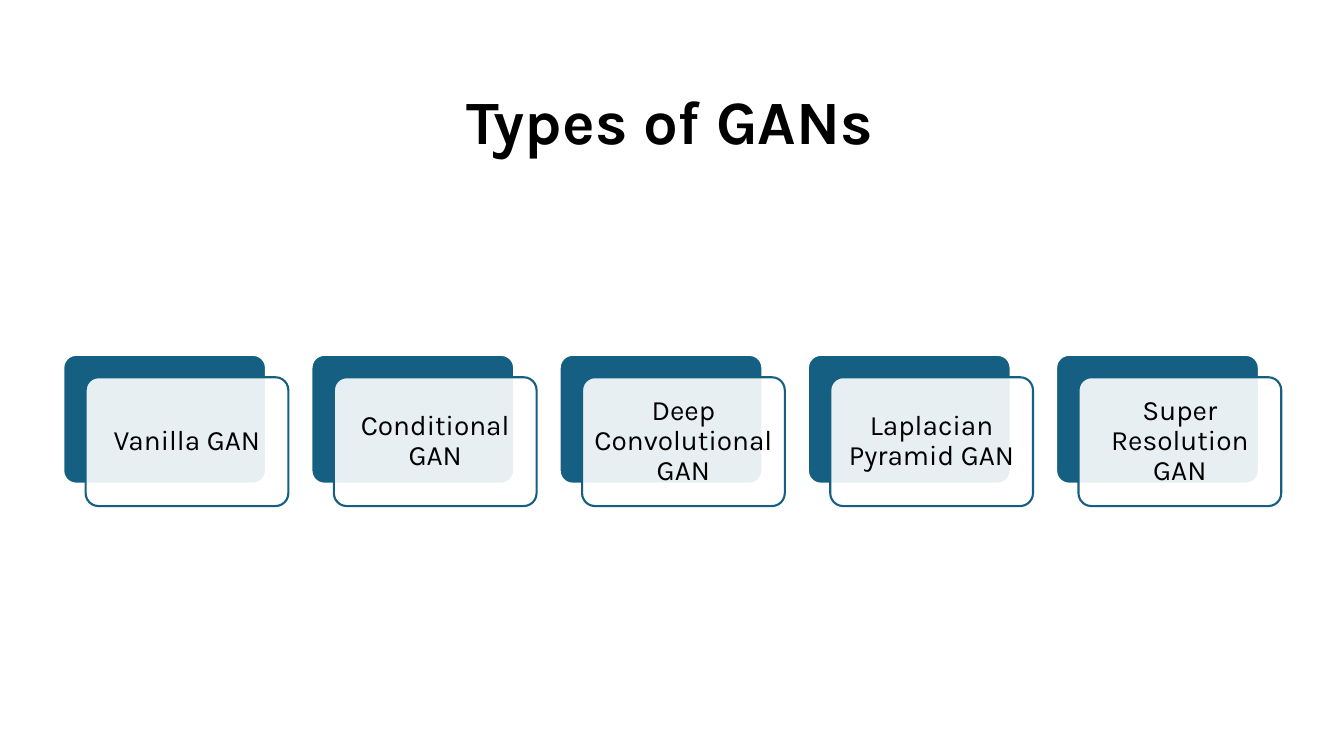
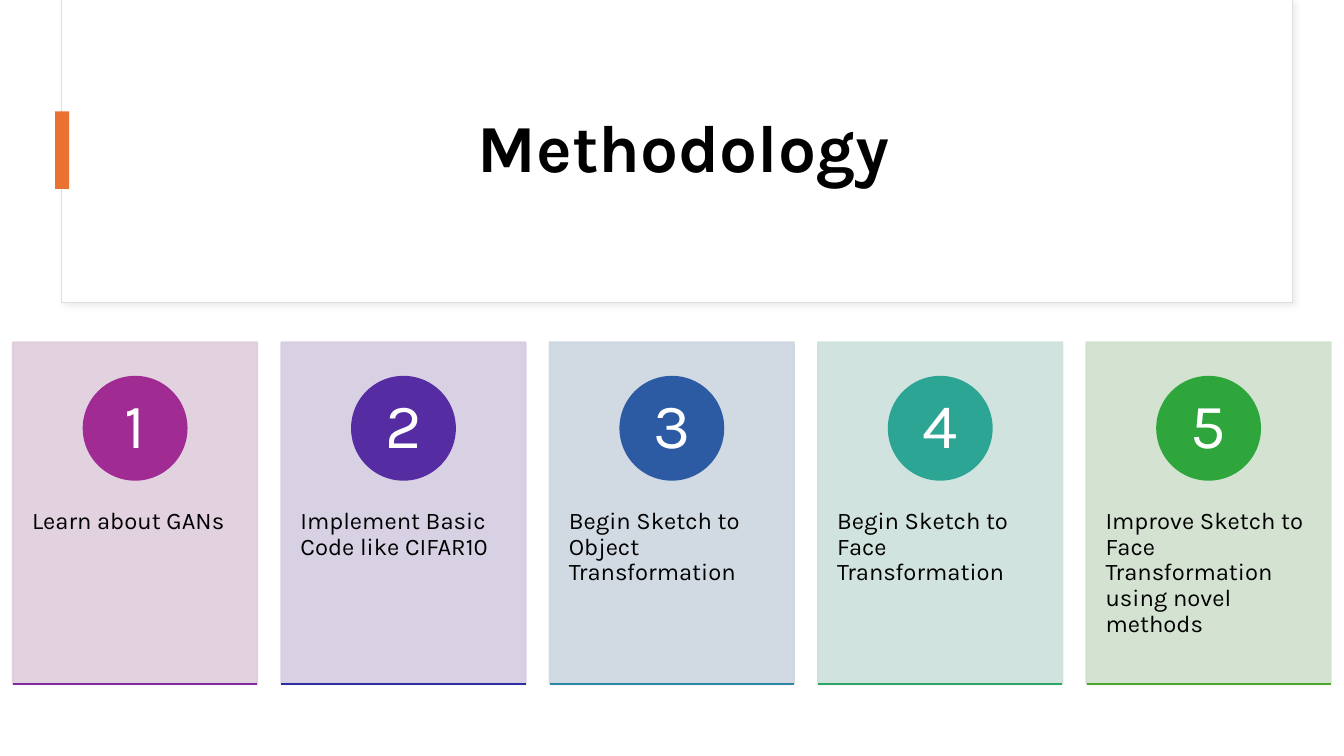
import dataclasses
import lxml.etree
import pptx
import pptx.dml.color
import pptx.enum.dml
import pptx.enum.shapes
import pptx.enum.text
import pptx.oxml.ns
import pptx.util

Pt = pptx.util.Pt
Kind = pptx.enum.shapes.MSO_SHAPE
Align = pptx.enum.text.PP_ALIGN
Anchor = pptx.enum.text.MSO_ANCHOR
qn = pptx.oxml.ns.qn


@dataclasses.dataclass(frozen=True)
class Theme:
    font: str = "Karla"
    ink: str = "000000"
    paper: str = "FFFFFF"
    navy: str = "156082"
    accent: str = "E97132"
    edge: str = "DEDEDE"
    shade: str = "D9D9D9"
    # card tint, circle and base line of each step
    steps: tuple = (
        ("DFCDDC", "A02B93", "822BA1"),
        ("D4CDE0", "562CA2", "2C2EA2"),
        ("CDD6E0", "2C5BA3", "2D88A4"),
        ("CDE1DB", "2DA594", "2DA568"),
        ("D0E1CD", "2EA63B", "4EA72E"),
    )
    head: int = 44
    large: int = 48
    label: int = 20
    body: int = 17
    digit: int = 45
    rule: float = 1.5


def rgb(code):
    return pptx.dml.color.RGBColor.from_string(code)


def write(shape, text, *, font, size, color, bold=False, align=Align.CENTER,
          anchor=Anchor.MIDDLE, pad=(7.2, 3.6, 7.2, 3.6)):
    """Fill a shape with one formatted paragraph; pad is left, top, right, bottom."""
    frame = shape.text_frame
    frame.word_wrap = True
    frame.vertical_anchor = anchor
    (frame.margin_left, frame.margin_top,
     frame.margin_right, frame.margin_bottom) = map(Pt, pad)
    para = frame.paragraphs[0]
    para.alignment = align
    para.line_spacing = 0.9
    run = para.add_run()
    run.text = text
    run.font.name = font
    run.font.size = Pt(size)
    run.font.bold = bold
    run.font.color.rgb = rgb(color)


class Deck:
    def __init__(self, theme):
        self.theme = theme
        self.file = pptx.Presentation()
        self.file.slide_width, self.file.slide_height = Pt(960), Pt(540)
        self.slide = None

    def page(self):
        self.slide = self.file.slides.add_slide(self.file.slide_layouts[6])
        fill = self.slide.background.fill
        fill.solid()
        fill.fore_color.rgb = rgb(self.theme.paper)

    def text(self, shape, words, **style):
        write(shape, words, **{"font": self.theme.font, "color": self.theme.ink, **style})

    def title(self, words, box, **style):
        shape = self.slide.shapes.add_textbox(*map(Pt, box))
        self.text(shape, words, bold=True, **style)

    def shape(self, kind, box, fill, line=None, width=None, alpha=None):
        shape = self.slide.shapes.add_shape(kind, *map(Pt, box))
        shape.shadow.inherit = False
        shape.fill.solid()
        shape.fill.fore_color.rgb = rgb(fill)
        if line:
            shape.line.color.rgb = rgb(line)
            shape.line.width = Pt(width or self.theme.rule)
        else:
            shape.line.fill.background()
        if alpha:
            # A border in the fill colour shares its transparency
            for node in shape._element.spPr.iter(qn("a:srgbClr")):
                if node.get("val") == fill:
                    lxml.etree.SubElement(node, qn("a:alpha"), val=str(alpha * 1000))
        return shape

    def round(self, box, fill, line, alpha=None):
        shape = self.shape(Kind.ROUNDED_RECTANGLE, box, fill, line, alpha=alpha)
        shape.adjustments[0] = 0.1
        return shape

    def shadow(self, shape):
        effect = shape._element.spPr.find(qn("a:effectLst"))
        outer = lxml.etree.SubElement(
            effect, qn("a:outerShdw"), blurRad=str(Pt(4)), dist=str(Pt(3)),
            dir=str(45 * 60000), algn="tl", rotWithShape="0")
        color = lxml.etree.SubElement(outer, qn("a:srgbClr"), val=self.theme.shade)
        lxml.etree.SubElement(color, qn("a:alpha"), val="50000")

    def rule(self, left, top, width, color):
        line = self.slide.shapes.add_connector(
            pptx.enum.shapes.MSO_CONNECTOR.STRAIGHT,
            Pt(left), Pt(top), Pt(left + width), Pt(top))
        line.line.color.rgb = rgb(color)
        line.line.width = Pt(self.theme.rule)
        lxml.etree.SubElement(line._element.spPr, qn("a:effectLst"))


def types(deck):
    look = deck.theme
    deck.page()
    deck.title("Types of GANs", (41, 62, 875, 83), size=look.head, anchor=Anchor.TOP)

    # Row of paired cards, the front one shifted down and right
    names = ("Vanilla GAN", "Conditional GAN", "Deep Convolutional GAN",
             "Laplacian Pyramid GAN", "Super Resolution GAN")
    left, top, wide, high, step, shift = 45.2, 253.5, 144.8, 92, 177.3, 16
    for i, name in enumerate(names):
        x = left + i * step
        deck.round((x, top, wide, high), look.navy, look.paper)
        front = deck.round((x + shift, top + shift, wide, high),
                           look.paper, look.navy, alpha=90)
        deck.text(front, name, size=look.label, pad=(5, 5, 5, 5))


def method(deck):
    look = deck.theme
    deck.page()

    # Title panel, open at the top, with its accent tab
    panel = deck.shape(Kind.RECTANGLE, (44, 0, 879, 216), look.paper, look.edge, 0.75)
    deck.shadow(panel)
    deck.shape(Kind.RECTANGLE, (44.6, 0, 878, 214.6), look.paper)
    deck.title("Methodology", (88, 27, 801, 161), size=look.large)
    deck.shape(Kind.RECTANGLE, (39.4, 79.6, 10, 55.4), look.accent)

    # Numbered step cards
    steps = ("Learn about GANs",
             "Implement Basic Code like CIFAR10",
             "Begin Sketch to Object Transformation",
             "Begin Sketch to Face Transformation",
             "Improve Sketch to Face Transformation using novel methods")
    left, top, wide, high, step, disc = 9.3, 244.6, 174.4, 244, 191.7, 73.4
    for i, (words, (tint, dot, base)) in enumerate(zip(steps, look.steps)):
        x = left + i * step
        card = deck.shape(Kind.RECTANGLE, (x, top, wide, high), tint, tint, alpha=90)
        deck.text(card, words, size=look.body, align=Align.LEFT,
                  anchor=Anchor.TOP, pad=(13.6, 119, 13.6, 0))
        circle = deck.shape(Kind.OVAL, (x + (wide - disc) / 2, top + 24.6, disc, disc),
                            dot, dot)
        deck.text(circle, str(i + 1), size=look.digit, color=look.paper,
                  pad=(5.7, 0.9, 5.7, 0.9))
        deck.rule(x, top + high, wide, base)


def main():
    deck = Deck(Theme())
    types(deck)
    method(deck)
    deck.file.save("out.pptx")


if __name__ == "__main__":
    main()
